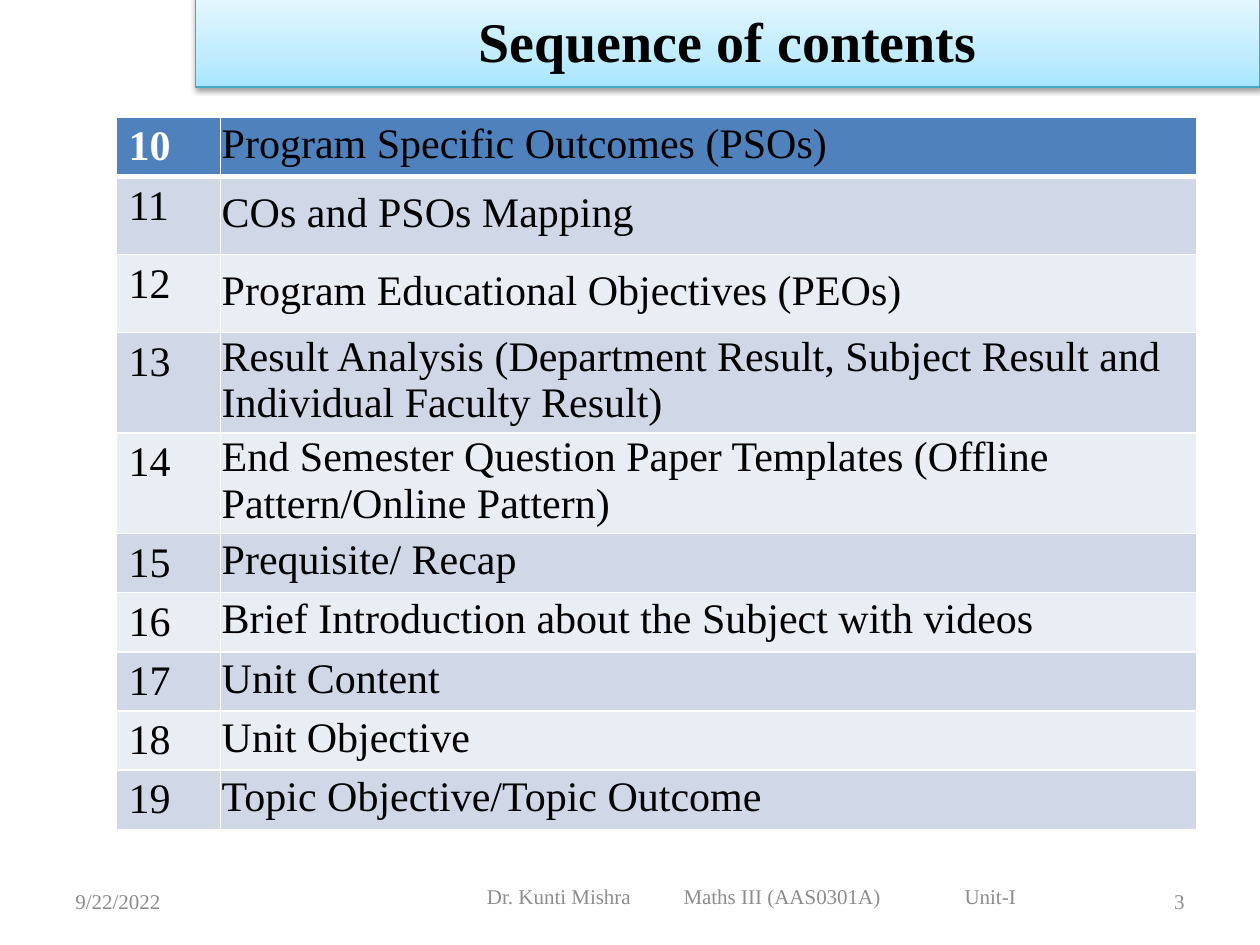
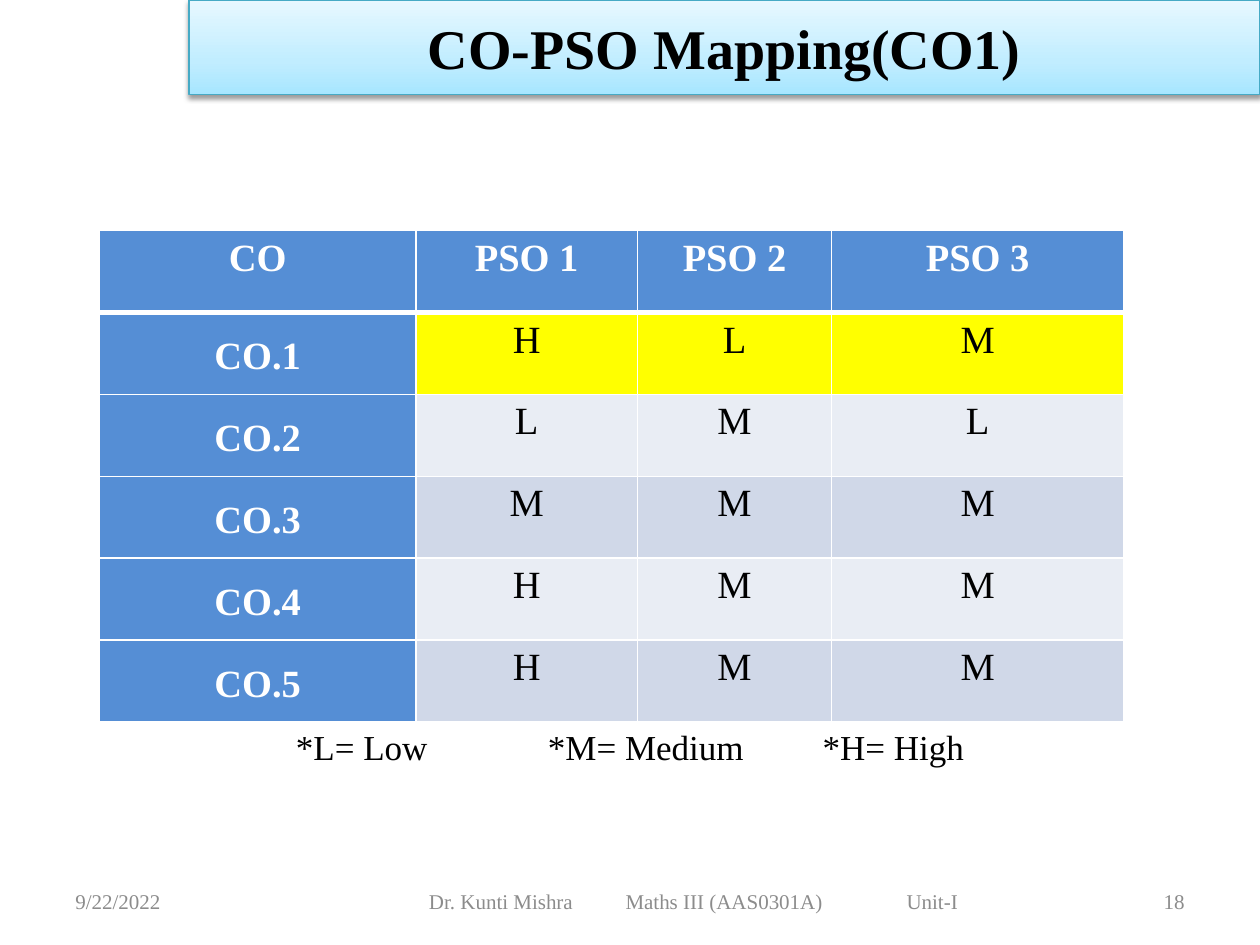
from dataclasses import dataclass

from pptx import Presentation
from pptx.dml.color import RGBColor
from pptx.enum.shapes import MSO_SHAPE as Shape
from pptx.enum.text import MSO_ANCHOR as Anchor, PP_ALIGN as Align
from pptx.oxml import parse_xml
from pptx.oxml.ns import nsdecls
from pptx.util import Emu, Inches, Pt


@dataclass(frozen=True)
class Theme:
    font: str = "Times New Roman"
    ink: str = "000000"
    paper: str = "FFFFFF"
    muted: str = "8C8C8C"
    band_stops: tuple = ((0, "A7E6FF"), (35, "C1EDFF"), (100, "E7F8FF"))
    band_line: str = "46AAC5"
    contents_head: str = "4F81BD"
    mapping_head: str = "558ED5"
    highlight: str = "FFFF00"
    stripes: tuple = ("D0D8E8", "E9EDF4")
    title_size: int = 32
    contents_size: int = 24
    mapping_size: int = 22
    legend_size: int = 20
    footer_size: int = 12
    grid_line: float = 1
    head_line: float = 3


THEME = Theme()
DATE = "9/22/2022"
FOOTER_PARTS = ("Dr. Kunti Mishra", "Maths III (AAS0301A)", "Unit-I")
FOOTER_TABS = (1.56, 3.79)
FOOTER_LENGTH = 4.19

CONTENTS = (
    ("10", "Program Specific Outcomes (PSOs)", 0.47),
    ("11", "COs and PSOs Mapping", 0.62),
    ("12", "Program Educational Objectives (PEOs)", 0.62),
    ("13", "Result Analysis (Department Result, Subject Result and "
           "Individual Faculty Result)", 0.79),
    ("14", "End Semester Question Paper Templates (Offline "
           "Pattern/Online Pattern)", 0.79),
    ("15", "Prequisite/ Recap", 0.47),
    ("16", "Brief Introduction about the Subject with videos", 0.47),
    ("17", "Unit Content", 0.47),
    ("18", "Unit Objective", 0.47),
    ("19", "Topic Objective/Topic Outcome", 0.47),
)
MAPPING = (
    ("CO", "PSO 1", "PSO 2", "PSO 3"),
    ("CO.1", "H", "L", "M"),
    ("CO.2", "L", "M", "L"),
    ("CO.3", "M", "M", "M"),
    ("CO.4", "H", "M", "M"),
    ("CO.5", "H", "M", "M"),
)


def write(para, text, size, color=THEME.ink, bold=False, align=Align.LEFT):
    para.alignment = align
    span = para.add_run()
    span.text = text
    font = span.font
    font.name, font.size, font.bold = THEME.font, Pt(size), bold
    font.color.rgb = RGBColor.from_string(color)


def add_text_box(page, box, anchor=Anchor.MIDDLE):
    frame = page.shapes.add_textbox(*map(Inches, box)).text_frame
    frame.word_wrap = True
    frame.vertical_anchor = anchor
    return frame


def write_tabbed(para, parts, tabs, size, color=THEME.ink):
    """Write the parts on one line, each after the first at its tab stop."""
    stops = "".join(f'<a:tab pos="{Inches(tab)}" algn="l"/>' for tab in tabs)
    para._p.get_or_add_pPr().append(
        parse_xml(f'<a:tabLst {nsdecls("a")}>{stops}</a:tabLst>'))
    write(para, "\t".join(parts), size, color)


def add_title_band(page, box, title):
    band = page.shapes.add_shape(Shape.RECTANGLE, *map(Inches, box))
    band.line.color.rgb = RGBColor.from_string(THEME.band_line)
    band.line.width = Pt(0.75)
    stops = "".join(
        f'<a:gs pos="{position * 1000}"><a:srgbClr val="{color}"/></a:gs>'
        for position, color in THEME.band_stops)
    properties = band._element.spPr
    properties.insert(2, parse_xml(
        f'<a:gradFill {nsdecls("a")} rotWithShape="1"><a:gsLst>{stops}</a:gsLst>'
        '<a:lin ang="16200000" scaled="0"/></a:gradFill>'))
    properties.append(parse_xml(
        f'<a:effectLst {nsdecls("a")}><a:outerShdw blurRad="{Pt(3.1)}" '
        f'dist="{Pt(1.6)}" dir="5400000" rotWithShape="0">'
        '<a:srgbClr val="000000"><a:alpha val="38000"/></a:srgbClr>'
        '</a:outerShdw></a:effectLst>'))
    frame = band.text_frame
    frame.word_wrap = True
    frame.vertical_anchor = Anchor.MIDDLE
    write(frame.paragraphs[0], title, THEME.title_size, bold=True,
          align=Align.CENTER)


def add_footer(page, course_box, number):
    size, color = THEME.footer_size, THEME.muted
    date = add_text_box(page, (0.5, 6.95, 2.33, 0.4))
    write(date.paragraphs[0], DATE, size, color)
    course = add_text_box(page, course_box)
    course.margin_left = Inches((course_box[2] - FOOTER_LENGTH) / 2)
    course.margin_right = 0
    write_tabbed(course.paragraphs[0], FOOTER_PARTS, FOOTER_TABS, size, color)
    page_number = add_text_box(page, (7.17, 6.95, 2.33, 0.4))
    write(page_number.paragraphs[0], str(number), size, color,
          align=Align.RIGHT)


def add_plain_table(page, left, top, widths, heights):
    box = (left, top, sum(widths), sum(heights))
    table = page.shapes.add_table(
        len(heights), len(widths), *map(Inches, box)).table
    table.first_row = table.horz_banding = False
    for column, width in zip(table.columns, widths):
        column.width = Inches(width)
    for row, height in zip(table.rows, heights):
        row.height = Inches(height)
    return table


def paint_cell(cell, row, fill):
    """Draw the grid lines, thick under the header row, then the fill."""
    thick_side = {0: "B", 1: "T"}.get(row)
    properties = cell._tc.get_or_add_tcPr()
    for side in "LRTB":
        width = THEME.head_line if side == thick_side else THEME.grid_line
        properties.append(parse_xml(
            f'<a:ln{side} {nsdecls("a")} w="{Pt(width)}"><a:solidFill>'
            f'<a:srgbClr val="{THEME.paper}"/></a:solidFill></a:ln{side}>'))
    cell.fill.solid()
    cell.fill.fore_color.rgb = RGBColor.from_string(fill)


def set_insets(cell, left, top, right, bottom):
    cell.margin_left, cell.margin_top = Inches(left), Inches(top)
    cell.margin_right, cell.margin_bottom = Inches(right), Inches(bottom)


def stripe(row):
    return THEME.stripes[(row - 1) % 2]


def add_contents_table(page, left, top):
    heights = [height for _, _, height in CONTENTS]
    table = add_plain_table(page, left, top, (0.83, 7.75), heights)
    for row, (number, topic, _) in enumerate(CONTENTS):
        head = row == 0
        number_cell, topic_cell = table.rows[row].cells
        for cell in (number_cell, topic_cell):
            paint_cell(cell, row, THEME.contents_head if head else stripe(row))
        write(number_cell.text_frame.paragraphs[0], number,
              THEME.contents_size, THEME.paper if head else THEME.ink, head)
        set_insets(topic_cell, 0.01, 0.01, 0.01, 0.05)
        topic_cell.vertical_anchor = Anchor.MIDDLE
        write(topic_cell.text_frame.paragraphs[0], topic, THEME.contents_size)


def add_mapping_table(page, left, top):
    table = add_plain_table(page, left, top, (2.51, 1.76, 1.54, 2.32),
                            [0.65] * len(MAPPING))
    for row, values in enumerate(MAPPING):
        level_fill = THEME.highlight if row == 1 else stripe(row)
        for column, value in enumerate(values):
            head = row == 0 or column == 0
            cell = table.cell(row, column)
            paint_cell(cell, row, THEME.mapping_head if head else level_fill)
            set_insets(cell, 0.07, 0, 0.07, 0)
            if row and column == 0:
                cell.vertical_anchor = Anchor.MIDDLE
            para = cell.text_frame.paragraphs[0]
            para.line_spacing = 1.15
            write(para, value, THEME.mapping_size,
                  THEME.paper if head else THEME.ink, head, Align.CENTER)


def add_legend(page, box):
    frame = add_text_box(page, box, Anchor.TOP)
    write_tabbed(frame.paragraphs[0], ("*L= Low", "*M= Medium", "*H= High"),
                 (2, 4.18), THEME.legend_size)


def build_contents_page(page):
    add_title_band(page, (1.55, -0.06, 8.45, 0.75), "Sequence of contents")
    add_contents_table(page, 0.92, 0.93)
    add_footer(page, (3.42, 6.88, 5.08, 0.47), 3)


def build_mapping_page(page):
    add_title_band(page, (1.5, 0, 8.5, 0.75), "CO-PSO Mapping(CO1)")
    add_mapping_table(page, 0.79, 1.83)
    add_legend(page, (2.25, 5.71, 5.8, 0.45))
    add_footer(page, (2.75, 6.95, 5.5, 0.4), 18)


def main():
    deck = Presentation()
    deck.slide_width, deck.slide_height = Inches(10), Inches(7.5)
    blank = deck.slide_layouts[6]
    for build_page in (build_contents_page, build_mapping_page):
        build_page(deck.slides.add_slide(blank))
    deck.save("out.pptx")


if __name__ == "__main__":
    main()
